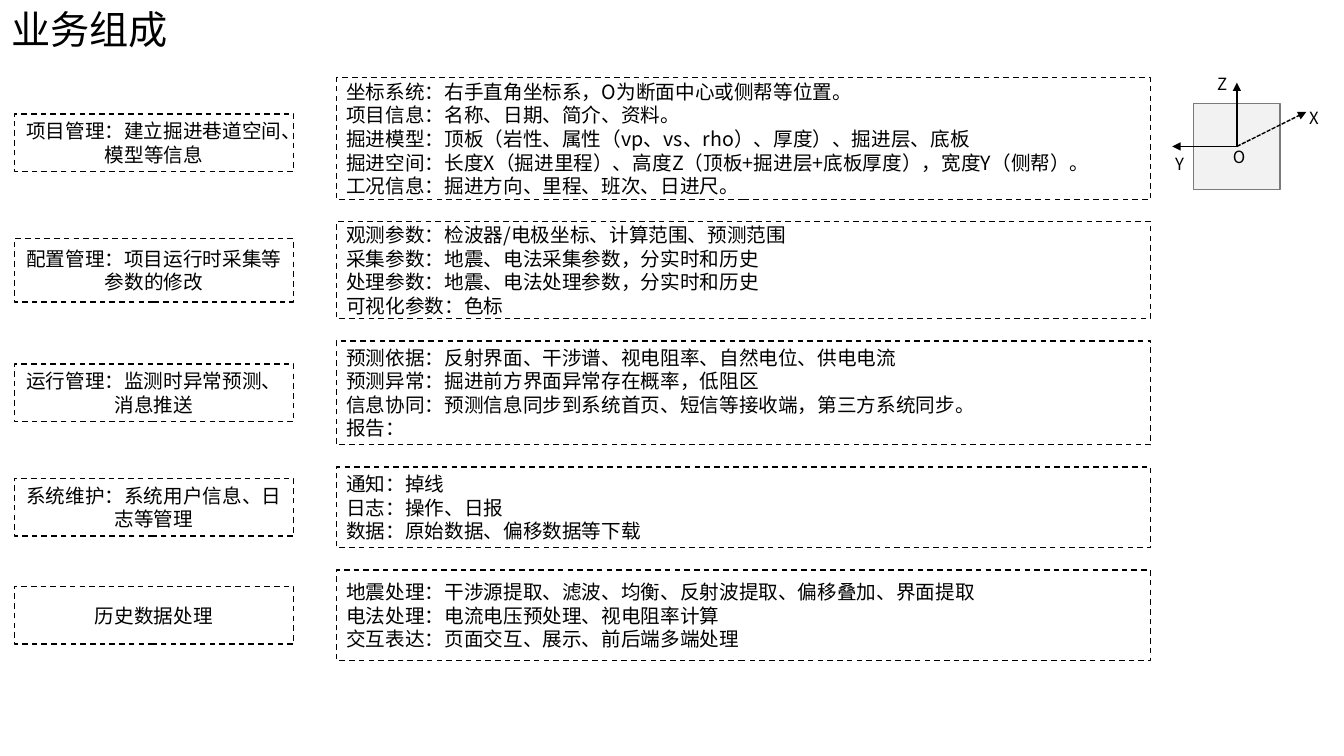
from dataclasses import dataclass

import lxml.etree
import pptx
import pptx.dml.color
import pptx.enum.dml
import pptx.enum.shapes
import pptx.enum.text
import pptx.oxml.ns
import pptx.shapes.autoshape
import pptx.shapes.connector
import pptx.slide
import pptx.util
from pptx.util import Cm

Align = pptx.enum.text.PP_ALIGN
Anchor = pptx.enum.text.MSO_ANCHOR
Dash = pptx.enum.dml.MSO_LINE
Color = pptx.dml.color.RGBColor


@dataclass(frozen=True)
class Theme:
    font: str = "Noto Sans CJK SC"
    ink: Color = Color(0x00, 0x00, 0x00)
    paper: Color = Color(0xFF, 0xFF, 0xFF)
    section_fill: Color = Color(0xF2, 0xF2, 0xF2)
    section_line: Color = Color(0x7A, 0x7A, 0x7A)
    title_size: float = 28
    body_size: float = 14
    axis_size: float = 12
    line_width: float = 1
    line_spacing: float = 1.2


@dataclass(frozen=True)
class Business:
    summary: str
    details: tuple[str, ...]
    height: float
    summary_height: float = 1.45
    summary_shift: float = 0


@dataclass(frozen=True)
class Axis:
    name: str
    tip: tuple[float, float]
    label_centre: tuple[float, float]
    dash: Dash = Dash.SOLID


THEME = Theme()

SUMMARY_LEFT, SUMMARY_WIDTH = 0.36, 7.04
DETAIL_LEFT, DETAIL_WIDTH = 8.48, 20.52
FIRST_TOP, ROW_GAP = 1.96, 0.56

BUSINESSES = (
    Business("项目管理：建立掘进巷道空间、模型等信息", (
        "坐标系统：右手直角坐标系，O为断面中心或侧帮等位置。",
        "项目信息：名称、日期、简介、资料。",
        "掘进模型：顶板（岩性、属性（vp、vs、rho）、厚度）、掘进层、底板",
        "掘进空间：长度X（掘进里程）、高度Z（顶板+掘进层+底板厚度），宽度Y（侧帮）。",
        "工况信息：掘进方向、里程、班次、日进尺。",
    ), 3.07, summary_shift=0.1),
    Business("配置管理：项目运行时采集等参数的修改", (
        "观测参数：检波器/电极坐标、计算范围、预测范围",
        "采集参数：地震、电法采集参数，分实时和历史",
        "处理参数：地震、电法处理参数，分实时和历史",
        "可视化参数：色标",
    ), 2.44, summary_height=1.6),
    Business("运行管理：监测时异常预测、消息推送", (
        "预测依据：反射界面、干涉谱、视电阻率、自然电位、供电电流",
        "预测异常：掘进前方界面异常存在概率，低阻区",
        "信息协同：预测信息同步到系统首页、短信等接收端，第三方系统同步。",
        "报告：",
    ), 2.62),
    Business("系统维护：系统用户信息、日志等管理", (
        "通知：掉线",
        "日志：操作、日报",
        "数据：原始数据、偏移数据等下载",
    ), 2.03),
    Business("历史数据处理", (
        "地震处理：干涉源提取、滤波、均衡、反射波提取、偏移叠加、界面提取",
        "电法处理：电流电压预处理、视电阻率计算",
        "交互表达：页面交互、展示、前后端多端处理",
    ), 2.29),
)

ORIGIN = (31.17, 3.69)
ORIGIN_LABEL_CENTRE = (31.23, 3.94)
SECTION_SIDE = 2.17
AXIS_LABEL_WIDTH, AXIS_LABEL_HEIGHT = 0.38, 0.64
AXES = (
    Axis("Y", (29.54, 3.69), (29.73, 4.13)),
    Axis("Z", (31.17, 2.08), (30.8, 2.11)),
    Axis("X", (32.92, 2.82), (33.11, 2.96), Dash.SQUARE_DOT),
)


def write_text(box: pptx.shapes.autoshape.Shape, text: str, size: float, align: Align) -> None:
    frame = box.text_frame
    frame.text = text
    frame.vertical_anchor = Anchor.MIDDLE
    for para in frame.paragraphs:
        para.alignment = align
        para.line_spacing = pptx.util.Pt(size * THEME.line_spacing)
        for span in para.runs:
            span.font.size = pptx.util.Pt(size)
            span.font.name = THEME.font
            span.font.color.rgb = THEME.ink
            east_asian = lxml.etree.SubElement(span.font._element, pptx.oxml.ns.qn("a:ea"))
            east_asian.set("typeface", THEME.font)


def add_rectangle(page: pptx.slide.Slide, left: float, top: float, width: float, height: float,
                  fill: Color, line: Color) -> pptx.shapes.autoshape.Shape:
    box = page.shapes.add_shape(pptx.enum.shapes.MSO_SHAPE.RECTANGLE,
                                Cm(left), Cm(top), Cm(width), Cm(height))
    box.shadow.inherit = False
    box.fill.solid()
    box.fill.fore_color.rgb = fill
    box.line.color.rgb = line
    box.line.width = pptx.util.Pt(THEME.line_width)
    return box


def add_dashed_box(page: pptx.slide.Slide, left: float, top: float, width: float, height: float,
                   text: str, align: Align) -> None:
    box = add_rectangle(page, left, top, width, height, THEME.paper, THEME.ink)
    box.line.dash_style = Dash.DASH
    box.text_frame.word_wrap = True
    write_text(box, text, THEME.body_size, align)


def add_businesses(page: pptx.slide.Slide) -> None:
    """Stack the detail boxes with equal gaps, each summary centred beside its details."""
    top = FIRST_TOP
    for business in BUSINESSES:
        summary_top = top + (business.height - business.summary_height) / 2 + business.summary_shift
        add_dashed_box(page, SUMMARY_LEFT, summary_top, SUMMARY_WIDTH, business.summary_height,
                       business.summary, Align.CENTER)
        add_dashed_box(page, DETAIL_LEFT, top, DETAIL_WIDTH, business.height,
                       "\n".join(business.details), Align.LEFT)
        top += business.height + ROW_GAP


def add_axis_label(page: pptx.slide.Slide, name: str, centre: tuple[float, float]) -> None:
    box = page.shapes.add_textbox(Cm(centre[0] - AXIS_LABEL_WIDTH / 2),
                                  Cm(centre[1] - AXIS_LABEL_HEIGHT / 2),
                                  Cm(AXIS_LABEL_WIDTH), Cm(AXIS_LABEL_HEIGHT))
    frame = box.text_frame
    frame.word_wrap = False
    frame.margin_left = frame.margin_right = frame.margin_top = frame.margin_bottom = 0
    write_text(box, name, THEME.axis_size, Align.CENTER)


def add_axis_arrow(page: pptx.slide.Slide, axis: Axis) -> None:
    arrow: pptx.shapes.connector.Connector = page.shapes.add_connector(
        pptx.enum.shapes.MSO_CONNECTOR.STRAIGHT, *map(Cm, ORIGIN + axis.tip))
    arrow.line.color.rgb = THEME.ink
    arrow.line.width = pptx.util.Pt(THEME.line_width)
    arrow.line.dash_style = axis.dash
    line = arrow.line._get_or_add_ln()
    lxml.etree.SubElement(line, pptx.oxml.ns.qn("a:tailEnd")).set("type", "triangle")
    lxml.etree.SubElement(arrow._element.spPr, pptx.oxml.ns.qn("a:effectLst"))


def add_coordinate_system(page: pptx.slide.Slide) -> None:
    add_rectangle(page, ORIGIN[0] - SECTION_SIDE / 2, ORIGIN[1] - SECTION_SIDE / 2,
                  SECTION_SIDE, SECTION_SIDE, THEME.section_fill, THEME.section_line)
    for axis in AXES:
        add_axis_arrow(page, axis)
        add_axis_label(page, axis.name, axis.label_centre)
    add_axis_label(page, "O", ORIGIN_LABEL_CENTRE)


def main() -> None:
    deck = pptx.Presentation()
    deck.slide_width, deck.slide_height = Cm(33.87), Cm(19.05)
    page = deck.slides.add_slide(deck.slide_layouts[6])
    title = page.shapes.add_textbox(Cm(0.03), Cm(0), Cm(12.29), Cm(1.45))
    title.text_frame.word_wrap = True
    write_text(title, "业务组成", THEME.title_size, Align.LEFT)
    add_businesses(page)
    add_coordinate_system(page)
    deck.save("out.pptx")


if __name__ == "__main__":
    main()
